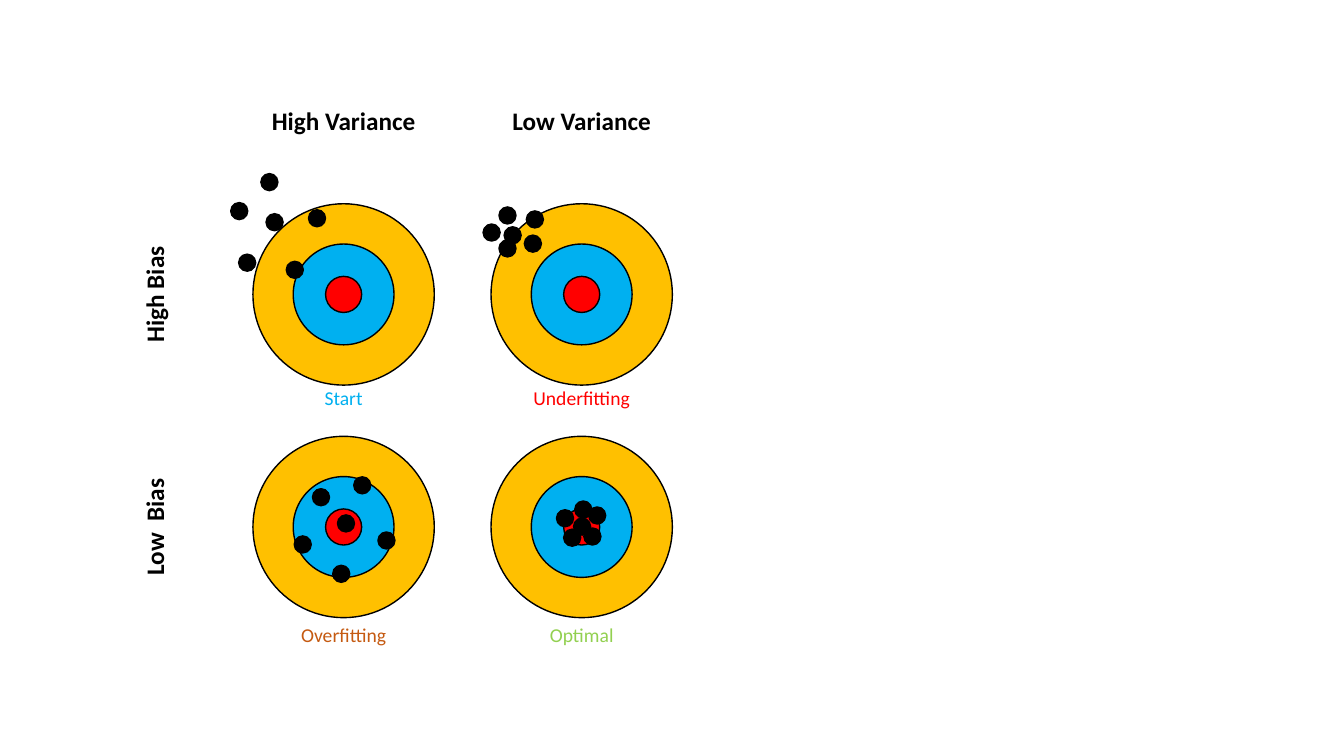
from pptx import Presentation
from pptx.dml.color import RGBColor
from pptx.enum.shapes import MSO_SHAPE
from pptx.enum.text import MSO_AUTO_SIZE, PP_ALIGN
from pptx.util import Cm, Pt

OVAL = MSO_SHAPE.OVAL
CENTER = PP_ALIGN.CENTER
GROW = MSO_AUTO_SIZE.SHAPE_TO_FIT_TEXT

BLACK = RGBColor(0x00, 0x00, 0x00)
GOLD = RGBColor(0xFF, 0xC0, 0x00)
BLUE = RGBColor(0x00, 0xB0, 0xF0)
RED = RGBColor(0xFF, 0x00, 0x00)
GREEN = RGBColor(0x92, 0xD0, 0x50)
BROWN = RGBColor(0xC5, 0x5A, 0x11)

FONT = "Calibri"
HEADER_Y, ROW_LABEL_X = 3.05, 3.89
SHOT_SIZE = 0.43
RINGS = [(4.57, GOLD), (2.54, BLUE), (0.91, RED)]

# name, text width, centre
COLUMNS = [("High Variance", 4.17, 8.66), ("Low Variance", 4.04, 14.66)]
# name, text width, centre, caption centre
ROWS = [("High Bias", 2.95, 7.42, 10.03), ("Low  Bias", 2.97, 13.28, 16.0)]

# row, column, caption, caption width, caption colour, shot offsets from bullseye
TARGETS = [
    (0, 0, "Start", 1.5, BLUE,
     [(-1.74, -1.82), (-0.67, -1.92), (-2.43, -0.8),
      (-1.23, -0.62), (-2.63, -2.1), (-1.87, -2.83)]),
    (0, 1, "Underfitting", 3.0, RED,
     [(-1.74, -1.49), (-1.23, -1.28), (-2.27, -1.56),
      (-1.87, -1.16), (-1.87, -1.99), (-1.18, -1.89)]),
    (1, 1, "Optimal", 2.13, GREEN,
     [(0.01, -0.01), (0.39, -0.29), (-0.24, 0.27),
      (0.27, 0.24), (-0.42, -0.22), (0.04, -0.44)]),
    (1, 0, "Overfitting", 2.69, BROWN,
     [(0.06, -0.09), (1.08, 0.34), (-1.03, 0.44),
      (-0.06, 1.18), (-0.57, -0.75), (0.47, -1.05)]),
]

prs = Presentation()
prs.slide_width, prs.slide_height = Cm(33.87), Cm(19.05)
slide = prs.slides.add_slide(prs.slide_layouts[6])


def add_circle(x, y, size, color):
    s = slide.shapes.add_shape(OVAL, Cm(x - size / 2), Cm(y - size / 2),
                               Cm(size), Cm(size))
    s.shadow.inherit = False
    s.fill.solid()
    s.fill.fore_color.rgb = color
    s.line.color.rgb = BLACK
    s.line.width = Pt(1)


def add_label(text, x, y, width, height=1.02, size=18, bold=True,
              color=BLACK, rotation=0):
    s = slide.shapes.add_textbox(Cm(x - width / 2), Cm(y - height / 2),
                                 Cm(width), Cm(height))
    s.rotation = rotation
    tf = s.text_frame
    tf.word_wrap = False
    tf.auto_size = GROW
    p = tf.paragraphs[0]
    p.text = text
    p.alignment = CENTER
    p.font.name = FONT
    p.font.size = Pt(size)
    p.font.bold = bold
    p.font.color.rgb = color


for name, width, x in COLUMNS:
    add_label(name, x, HEADER_Y, width)
for name, width, y, _ in ROWS:
    add_label(name, ROW_LABEL_X, y, width, rotation=270)

for row, column, caption, width, color, shots in TARGETS:
    x = COLUMNS[column][2]
    y, caption_y = ROWS[row][2:]
    for size, fill in RINGS:
        add_circle(x, y, size, fill)
    add_label(caption, x, caption_y, width, 0.86, 14, False, color)
    for dx, dy in shots:
        add_circle(x + dx, y + dy, SHOT_SIZE, BLACK)

prs.save("out.pptx")
